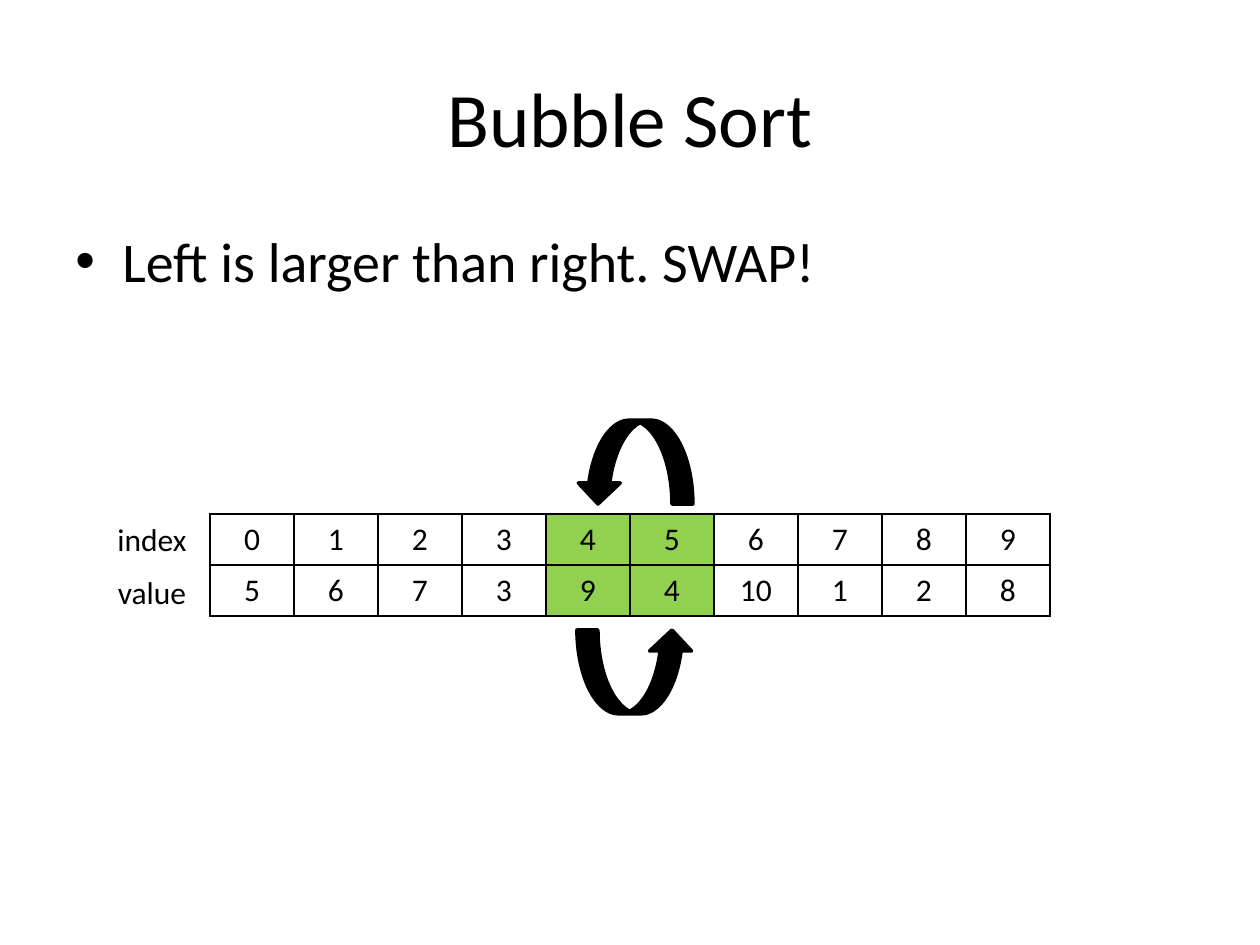
from lxml import etree
from pptx import Presentation
from pptx import util as u
from pptx.dml.color import RGBColor
from pptx.enum import shapes, text
from pptx.oxml.ns import qn

BLACK = RGBColor(0x00, 0x00, 0x00)
WHITE = RGBColor(0xFF, 0xFF, 0xFF)
GREEN = RGBColor(0x92, 0xD0, 0x50)

INDICES = range(10)
VALUES = [5, 6, 7, 3, 9, 4, 10, 1, 2, 8]
SWAPPED = (4, 5)


class Deck:
    FONT = "Calibri"
    PX = 914400 / 126

    def __init__(self, width, height):
        self.prs = Presentation()
        self.prs.slide_width = self.px(width)
        self.prs.slide_height = self.px(height)
        self.s = self.prs.slides.add_slide(self.prs.slide_layouts[5])

    def px(self, n):
        return u.Emu(round(n * self.PX))

    def box(self, *lengths):
        return [self.px(n) for n in lengths]

    def style(self, p, size, align):
        p.alignment = align
        for r in p.runs:
            r.font.name = self.FONT
            r.font.size = u.Pt(size)
            r.font.color.rgb = BLACK

    def title(self, x, y, w, h, words):
        sp = self.s.shapes.title
        sp.left, sp.top, sp.width, sp.height = self.box(x, y, w, h)
        tf = sp.text_frame
        tf.text = words
        tf.vertical_anchor = text.MSO_ANCHOR.MIDDLE
        self.style(tf.paragraphs[0], 44, text.PP_ALIGN.CENTER)

    def text(self, x, y, w, h, words, size, align=text.PP_ALIGN.CENTER):
        tf = self.s.shapes.add_textbox(*self.box(x, y, w, h)).text_frame
        tf.word_wrap = True
        tf.text = words
        p = tf.paragraphs[0]
        self.style(p, size, align)
        return p

    def bullet(self, x, y, w, h, words):
        p = self.text(x, y, w, h, words, 32, text.PP_ALIGN.LEFT)
        pPr = p._p.get_or_add_pPr()
        indent = self.px(47)
        pPr.set("marL", str(indent))
        pPr.set("indent", str(-indent))
        etree.SubElement(pPr, qn("a:buFont")).set("typeface", "Arial")
        etree.SubElement(pPr, qn("a:buChar")).set("char", "•")

    def borders(self, cell):
        tcPr = cell._tc.get_or_add_tcPr()
        for i, side in enumerate(("lnL", "lnR", "lnT", "lnB")):
            ln = etree.Element(qn(f"a:{side}"), w=str(u.Pt(1)))
            fill = etree.SubElement(ln, qn("a:solidFill"))
            etree.SubElement(fill, qn("a:srgbClr")).set("val", str(BLACK))
            tcPr.insert(i, ln)

    def table(self, x, y, col_w, row_h, rows, marked):
        n = len(rows[0])
        frame = self.s.shapes.add_table(
            len(rows), n, *self.box(x, y, n * col_w, len(rows) * row_h))
        tbl = frame.table
        tbl.first_row = tbl.horz_banding = False
        for r, row in enumerate(rows):
            for c, value in enumerate(row):
                cell = tbl.cell(r, c)
                cell.text = str(value)
                self.style(cell.text_frame.paragraphs[0], 18, text.PP_ALIGN.CENTER)
                cell.fill.solid()
                cell.fill.fore_color.rgb = GREEN if c in marked else WHITE
                self.borders(cell)

    def arrow(self, kind, x, y, w, h, flip=False):
        sp = self.s.shapes.add_shape(kind, *self.box(x, y, w, h))
        sp.shadow.inherit = False
        sp.fill.solid()
        sp.fill.fore_color.rgb = BLACK
        sp.line.color.rgb = BLACK
        sp.line.width = u.Pt(2)
        if flip:
            sp._element.spPr.find(qn("a:xfrm")).set("flipH", "1")


def main():
    deck = Deck(1260, 945)

    # Heading and message
    deck.title(63, 38, 1134, 158, "Bubble Sort")
    deck.bullet(63, 220, 1134, 624, "Left is larger than right. SWAP!")

    # Array with its row labels
    deck.table(210, 514, 84, 51, [INDICES, VALUES], SWAPPED)
    for i, label in enumerate(("index", "value")):
        deck.text(94, 514 + 53 * i, 116, 53, label, 18)

    # Swap arrows
    kinds = shapes.MSO_SHAPE
    deck.arrow(kinds.CURVED_UP_ARROW, 577, 630, 116, 84)
    deck.arrow(kinds.CURVED_DOWN_ARROW, 577, 420, 116, 84, flip=True)

    deck.prs.save("out.pptx")


if __name__ == "__main__":
    main()
